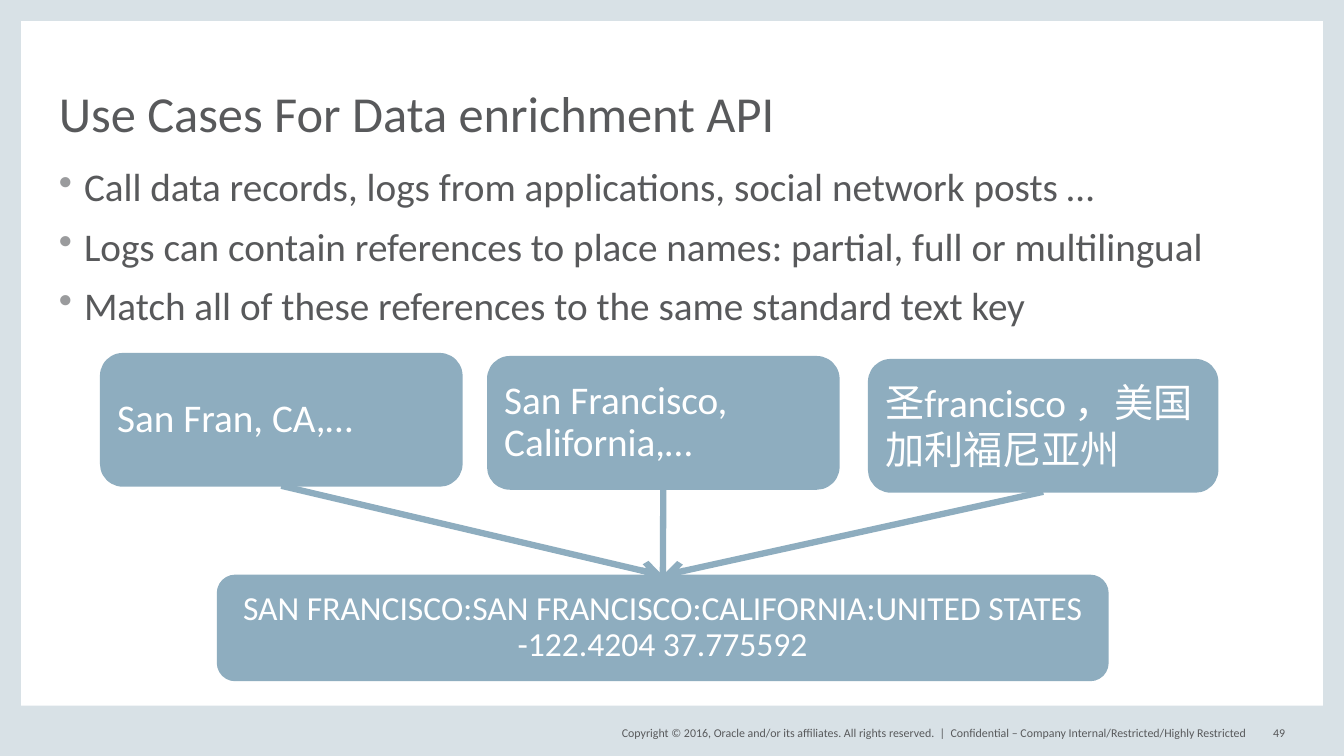
from collections import namedtuple
from dataclasses import dataclass

from lxml.etree import SubElement
from pptx import Presentation
from pptx.dml.color import RGBColor
from pptx.enum.shapes import MSO_CONNECTOR as Connector, MSO_SHAPE as Preset
from pptx.enum.text import MSO_ANCHOR as Anchor, PP_ALIGN as Align
from pptx.oxml.ns import qn
from pptx.util import Pt

Box = namedtuple("Box", "left top width height")


@dataclass(frozen=True)
class Theme:
    font: str = "Calibri"
    frame: str = "D8E1E6"
    text: str = "58595B"
    bullet: str = "9A9B9D"
    accent: str = "8EADBF"
    white: str = "FFFFFF"
    title_size: float = 36
    body_size: float = 28
    key_size: float = 24
    footer_size: float = 8.5


THEME = Theme()
SLIDE = Box(0, 0, 960, 540)
BULLETS = [
    "Call data records, logs from applications, social network posts …",
    "Logs can contain references to place names: partial, full or multilingual",
    "Match all of these references to the same standard text key",
]
# Left offset, top offset, width, line spacing and text of each place name
PLACES = [
    (0, 0, 257.8, 0.9, "San Fran, CA,…"),
    (276.5, 2.2, 250.6, 0.9, "San Francisco, California,…"),
    (548.6, 4.3, 249.1, 1.0, "圣francisco ，美国加利福尼亚州"),
]
STANDARD_KEY = ("SAN FRANCISCO:SAN FRANCISCO:CALIFORNIA:UNITED STATES"
                "\v-122.4204 37.775592")


def points(*lengths):
    return [Pt(length) for length in lengths]


def style_paragraph(paragraph, text, size, color, **paragraph_format):
    paragraph.text = text
    for name, value in paragraph_format.items():
        setattr(paragraph, name, value)
    font_format = {"name": THEME.font, "size": Pt(size)}
    for run in paragraph.runs:
        for name, value in font_format.items():
            setattr(run.font, name, value)
        run.font.color.rgb = RGBColor.from_string(color)


def add_text_frame(slide, box, anchor, wrap=True):
    """Add a text box without insets and return its text frame."""
    frame = slide.shapes.add_textbox(*points(*box)).text_frame
    frame_format = {"word_wrap": wrap, "vertical_anchor": anchor,
                    "margin_left": 0, "margin_right": 0,
                    "margin_top": 0, "margin_bottom": 0}
    for name, value in frame_format.items():
        setattr(frame, name, value)
    return frame


def add_filled_shape(slide, preset, box, color):
    shape = slide.shapes.add_shape(preset, *points(*box))
    shape.shadow.inherit = False
    shape.fill.solid()
    shape.fill.fore_color.rgb = RGBColor.from_string(color)
    shape.line.fill.background()
    return shape


def add_card(slide, box, text, size, **paragraph_format):
    """Add a rounded box with white text."""
    card = add_filled_shape(slide, Preset.FLOWCHART_ALTERNATE_PROCESS, box, THEME.accent)
    card.line.color.rgb = RGBColor.from_string(THEME.accent)
    card.line.width = Pt(1.25)
    card.text_frame.word_wrap = True
    card.text_frame.vertical_anchor = Anchor.MIDDLE
    style_paragraph(card.text_frame.paragraphs[0], text, size, THEME.white,
                    **paragraph_format)


def add_arrow(slide, start, end):
    arrow = slide.shapes.add_connector(Connector.STRAIGHT, *points(*start, *end))
    arrow.line.color.rgb = RGBColor.from_string(THEME.accent)
    arrow.line.width = Pt(4.5)
    SubElement(arrow.line._get_or_add_ln(), qn("a:tailEnd"), type="arrow")
    SubElement(arrow._element.spPr, qn("a:effectLst"))


def add_border(slide, box):
    side, top, bottom = 15, 15, 36
    bars = [
        Box(box.left, box.top, side, box.height),
        Box(box.left + box.width - side, box.top, side, box.height),
        Box(box.left, box.top + box.height - bottom, box.width, bottom),
        Box(box.left, box.top, box.width, top),
    ]
    for bar in bars:
        add_filled_shape(slide, Preset.RECTANGLE, bar, THEME.frame)


def add_title(slide, box):
    frame = add_text_frame(slide, box, Anchor.BOTTOM)
    style_paragraph(frame.paragraphs[0], "Use Cases For Data enrichment API",
                    THEME.title_size, THEME.text, line_spacing=0.8, alignment=Align.LEFT)


def add_bullets(slide, box):
    frame = add_text_frame(slide, box, Anchor.TOP)
    for index, text in enumerate(BULLETS):
        paragraph = frame.add_paragraph() if index else frame.paragraphs[0]
        properties = paragraph._p.get_or_add_pPr()
        properties.set("marL", str(Pt(18)))
        properties.set("indent", str(-Pt(18)))
        bullet_color = SubElement(properties, qn("a:buClr"))
        SubElement(bullet_color, qn("a:srgbClr"), val=THEME.bullet)
        SubElement(properties, qn("a:buChar"), char="•")
        style_paragraph(paragraph, text, THEME.body_size, THEME.text,
                        line_spacing=0.9, space_before=Pt(12 if index else 0))


def add_matching_diagram(slide, box):
    """Place names on top, each with an arrow to the standard key below."""
    card_height, key_height = 94.3, 74.9
    key = Box(box.left + 83.5, box.top + box.height - key_height, 635.8, key_height)
    target_x = key.left + key.width / 2
    starts = []
    for left, top, width, spacing, text in PLACES:
        card = Box(box.left + left, box.top + top, width, card_height)
        add_card(slide, card, text, THEME.body_size,
                 line_spacing=spacing, alignment=Align.LEFT)
        starts.append((card.left + width / 2, card.top + card_height))
    add_card(slide, key, STANDARD_KEY, THEME.key_size,
             line_spacing=0.9, alignment=Align.CENTER)
    for start, overlap in zip(starts, (0, 16, 0)):
        add_arrow(slide, start, (target_x, key.top + overlap))


def add_footer(slide, box):
    # Left offset, width, alignment and text
    parts = [
        (0, 252, Align.RIGHT, "Copyright © 2016, Oracle and/or its affiliates. "
                              "All rights reserved.  |"),
        (255.6, 216, Align.LEFT, "Confidential – Company Internal/Restricted/Highly Restricted"),
        (464.4, 30.2, Align.RIGHT, "49"),
    ]
    for left, width, alignment, text in parts:
        part = Box(box.left + left, box.top, width, box.height)
        frame = add_text_frame(slide, part, Anchor.MIDDLE, wrap=False)
        style_paragraph(frame.paragraphs[0], text, THEME.footer_size, THEME.text,
                        alignment=alignment)


def main():
    presentation = Presentation()
    presentation.slide_width, presentation.slide_height = points(SLIDE.width, SLIDE.height)
    slide = presentation.slides.add_slide(presentation.slide_layouts[6])
    add_border(slide, SLIDE)
    add_title(slide, Box(42, 32, 876, 69.5))
    add_bullets(slide, Box(42, 120, 876, 348))
    add_matching_diagram(slide, Box(72, 252.7, 798, 233.3))
    add_footer(slide, Box(423.4, 516.2, 494.6, 14.4))
    presentation.save("out.pptx")


if __name__ == "__main__":
    main()
